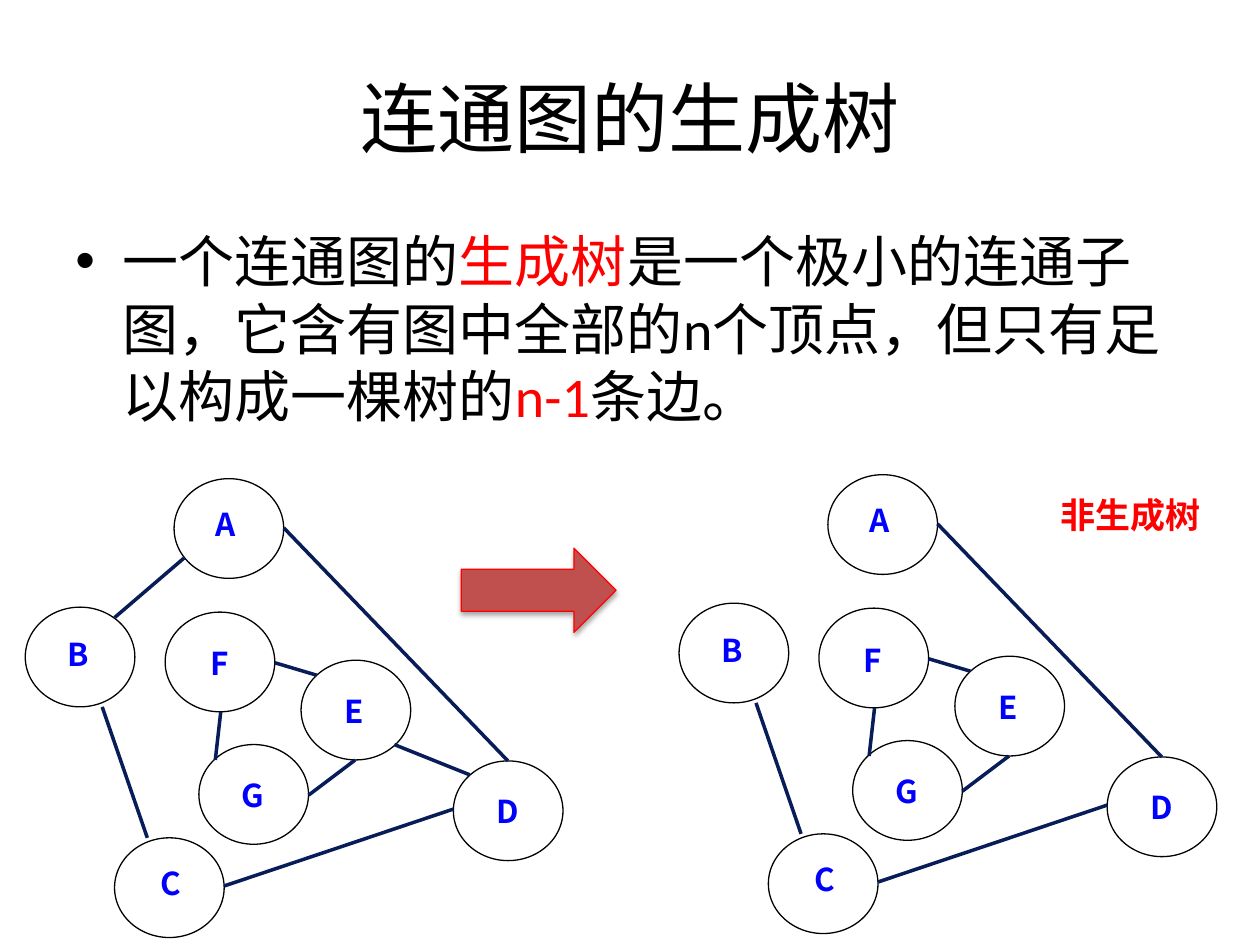
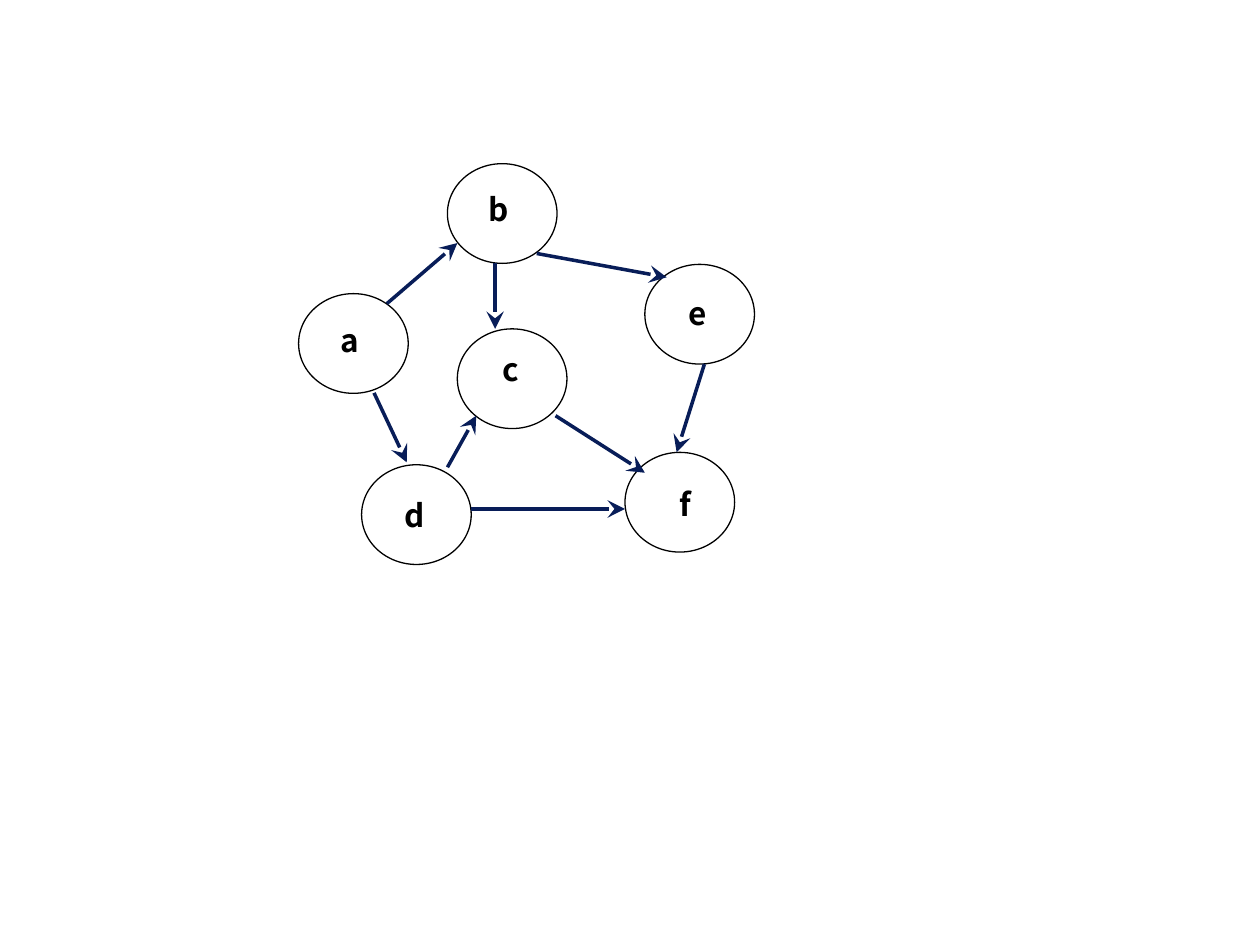
"""Builds two slides on spanning trees and directed graphs."""
from dataclasses import dataclass

from lxml import etree
from pptx import Presentation
from pptx.dml.color import RGBColor
from pptx.enum import shapes, text
from pptx.oxml import ns
from pptx.util import Cm, Pt


@dataclass(frozen=True)
class Theme:
    """Colours, fonts and sizes shared by the slides."""
    black: RGBColor = RGBColor(0, 0, 0)
    red: RGBColor = RGBColor(255, 0, 0)
    blue: RGBColor = RGBColor(0, 0, 255)
    navy: RGBColor = RGBColor.from_string("081D58")
    brick: RGBColor = RGBColor.from_string("C0504D")
    font: str = "Calibri"
    label_font: str = "Noto Sans CJK SC"
    title_size: Pt = Pt(44)
    body_size: Pt = Pt(32)
    note_size: Pt = Pt(20)
    label_size: Pt = Pt(18)
    outline: Pt = Pt(0.75)
    edge: Pt = Pt(2)


T = Theme()
NODE_W, NODE_H = 2.21, 2.01
LABEL_W, LABEL_H = 0.97, 1.22

# Each node: left, top, label centre from left, label top from top.
TREE_NODES = {
    "A": (3.51, 9.65, 1.04, 0.18),
    "B": (0.51, 12.24, 1.07, 0.2),
    "C": (2.31, 16.89, 1.14, 0.18),
    "D": (9.14, 15.34, 1.09, 0.28),
    "E": (6.07, 13.31, 1.08, 0.28),
    "F": (3.33, 12.34, 1.09, 0.3),
    "G": (4.01, 15.01, 1.09, 0.28),
}
TREE_EDGES = {
    "AB": (3.71, 11.25, 2.31, 12.45),
    "DC": (9.14, 16.31, 4.52, 17.86),
    "BC": (2.06, 14.25, 2.97, 16.89),
    "AD": (5.72, 10.64, 10.24, 15.34),
    "ED": (7.95, 15.01, 9.47, 15.62),
    "EF": (6.38, 13.61, 5.54, 13.36),
    "EG": (7.16, 15.32, 6.22, 16.03),
    "FG": (4.45, 14.35, 4.34, 15.32),
}
DIRECTED_NODES = {
    "a": (6.02, 5.92, 1.04, 0.2),
    "b": (9.02, 3.3, 1.04, 0.18),
    "c": (9.22, 6.63, 1.07, 0.08),
    "d": (7.29, 9.37, 1.07, 0.28),
    "e": (13, 5.33, 1.07, 0.25),
    "f": (12.6, 9.12, 1.22, 0.3),
}
DIRECTED_EDGES = {
    "ab": (7.8, 6.12, 9.22, 4.9),
    "ad": (7.54, 7.92, 8.2, 9.32),
    "bc": (9.98, 5.31, 9.98, 6.63),
    "be": (10.82, 5.11, 13.44, 5.59),
    "cf": (11.2, 8.38, 13, 9.53),
    "dc": (9.02, 9.42, 9.6, 8.38),
    "df": (9.5, 10.26, 12.6, 10.26),
    "ef": (14.2, 7.34, 13.64, 9.12),
}


def sub(parent, tag, **attrs):
    """Append a drawing element with attributes."""
    return etree.SubElement(parent, ns.qn(tag), attrs)


def add_text(s, box, runs, size, font=T.font, bold=False, wrap=True):
    """Add a one-paragraph text box of (text, colour) runs."""
    tf = s.shapes.add_textbox(*map(Cm, box)).text_frame
    tf.word_wrap = wrap
    if not wrap:
        tf.auto_size = text.MSO_AUTO_SIZE.SHAPE_TO_FIT_TEXT
    p = tf.paragraphs[0]
    p.font.name, p.font.size, p.font.bold = font, size, bold
    for words, color in runs:
        r = p.add_run()
        r.text = words
        r.font.color.rgb = color
    return tf


def add_title(s, words):
    """Add the centred slide title."""
    tf = add_text(s, (1.27, 0.76, 22.86, 3.18), [(words, T.black)], T.title_size)
    tf.vertical_anchor = text.MSO_ANCHOR.MIDDLE
    tf.paragraphs[0].alignment = text.PP_ALIGN.CENTER


def add_bullet(s, runs):
    """Add the bulleted body text."""
    tf = add_text(s, (1.27, 4.45, 22.86, 12.57), runs, T.body_size)
    pPr = tf.paragraphs[0]._p.get_or_add_pPr()
    pPr.set("marL", str(Cm(0.95)))
    pPr.set("indent", str(Cm(-0.95)))
    font = etree.Element(ns.qn("a:buFont"), typeface="Arial")
    bullet = etree.Element(ns.qn("a:buChar"), char="•")
    pPr.insert(0, font)
    font.addnext(bullet)


def add_node(s, name, x, y, label_dx, label_dy, color):
    """Add a circled vertex with its letter."""
    sp = s.shapes.add_shape(shapes.MSO_SHAPE.OVAL, Cm(x), Cm(y), Cm(NODE_W), Cm(NODE_H))
    sp.shadow.inherit = False
    sp.fill.background()
    sp.line.color.rgb, sp.line.width = T.black, T.outline
    box = (x + label_dx - LABEL_W / 2, y + label_dy, LABEL_W, LABEL_H)
    tf = add_text(s, box, [(name, color)], T.label_size, T.label_font, True, False)
    p = tf.paragraphs[0]
    p.alignment = text.PP_ALIGN.CENTER
    p.line_spacing = 1.3


def add_edge(s, ends, directed):
    """Add a straight edge, with an arrowhead if directed."""
    cx = s.shapes.add_connector(shapes.MSO_CONNECTOR.STRAIGHT, *map(Cm, ends))
    cx.line.color.rgb, cx.line.width = T.navy, T.edge
    if directed:
        sub(cx.line._get_or_add_ln(), "a:tailEnd", type="stealth", w="lg", len="lg")
    sub(cx._element.spPr, "a:effectLst")


def add_graph(s, nodes, edges, color, dx=0, dy=0, skip=(), directed=False):
    """Add a whole graph, shifted and without the skipped edges."""
    for name, (x, y, *label) in nodes.items():
        add_node(s, name, x + dx, y + dy, *label, color)
    for name, (x1, y1, x2, y2) in edges.items():
        if name not in skip:
            add_edge(s, (x1 + dx, y1 + dy, x2 + dx, y2 + dy), directed)


def add_block_arrow(s, box):
    """Add the shaded arrow between the two graphs."""
    sp = s.shapes.add_shape(shapes.MSO_SHAPE.RIGHT_ARROW, *map(Cm, box))
    sp.fill.solid()
    sp.fill.fore_color.rgb = T.brick
    sp.line.color.rgb, sp.line.width = T.red, T.outline
    sp.shadow.inherit = False
    effects = sp._element.spPr.find(ns.qn("a:effectLst"))
    shadow = sub(effects, "a:outerShdw", blurRad=str(Pt(3.1)), dist=str(Pt(1.8)),
                 dir="5400000", rotWithShape="0")
    sub(sub(shadow, "a:srgbClr", val=str(T.black)), "a:alpha", val="35000")


def spanning_tree_slide(s):
    """Fill the slide that defines a spanning tree."""
    add_title(s, "连通图的生成树")
    add_bullet(s, [
        ("一个连通图的", T.black),
        ("生成树", T.red),
        ("是一个极小的连通子图，它含有图中全部的n个顶点，但只有足以构成一棵树的", T.black),
        ("n-1", T.red),
        ("条边。", T.black),
    ])
    add_graph(s, TREE_NODES, TREE_EDGES, T.blue)
    add_graph(s, TREE_NODES, TREE_EDGES, T.blue, 13.18, -0.08, skip=("AB", "ED"))
    add_block_arrow(s, (9.3, 11.05, 3.12, 1.7))
    add_text(s, (21.13, 9.83, 3.4, 1.12), [("非生成树", T.red)], T.note_size,
             bold=True, wrap=False)


def main():
    """Build and save the presentation."""
    prs = Presentation()
    prs.slide_width, prs.slide_height = Cm(25.4), Cm(19.05)
    blank = prs.slide_layouts[6]
    spanning_tree_slide(prs.slides.add_slide(blank))
    add_graph(prs.slides.add_slide(blank), DIRECTED_NODES, DIRECTED_EDGES, T.black,
              directed=True)
    prs.save("out.pptx")


if __name__ == "__main__":
    main()
